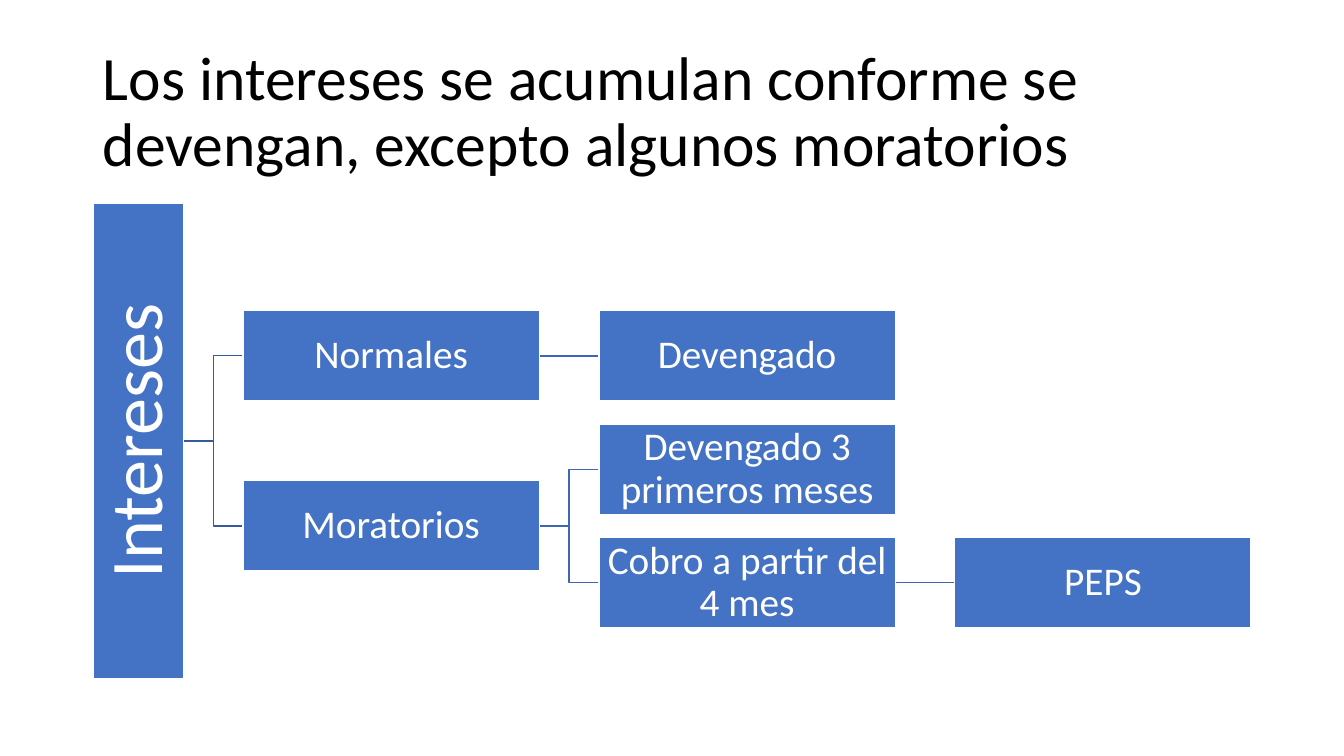
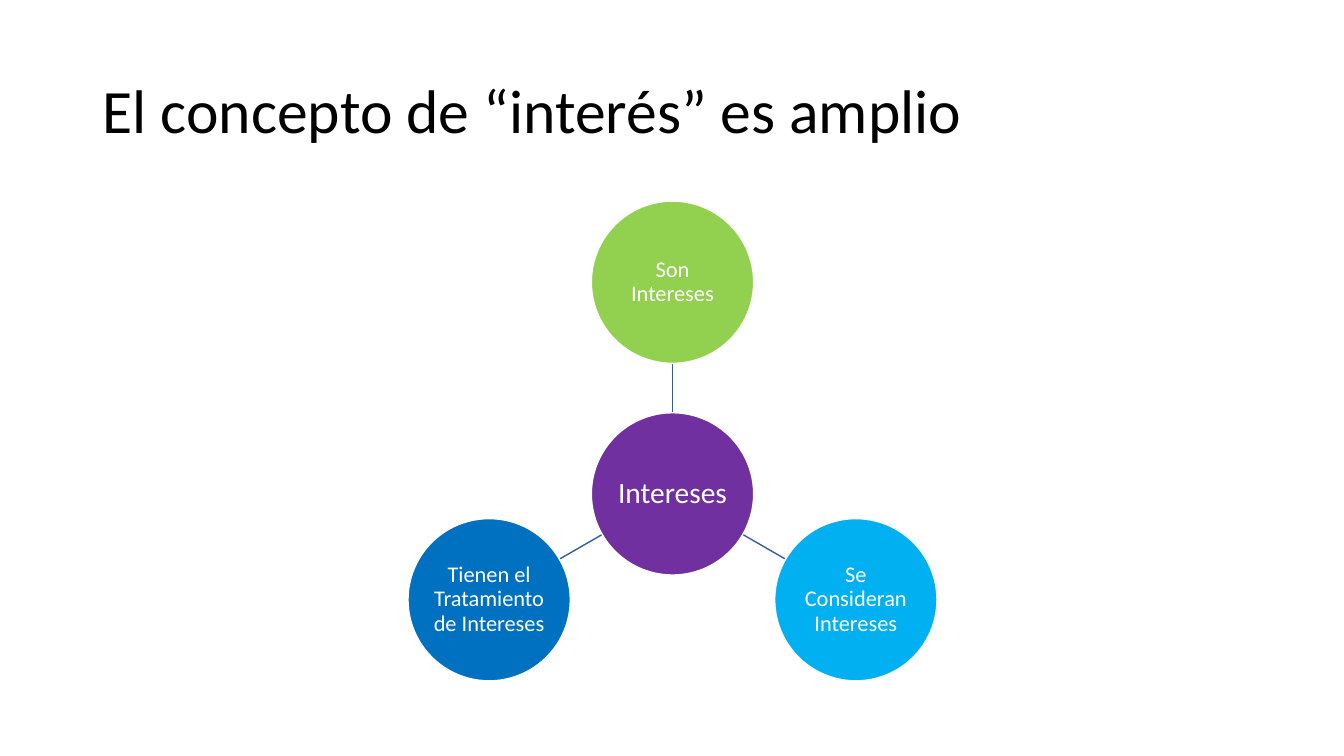
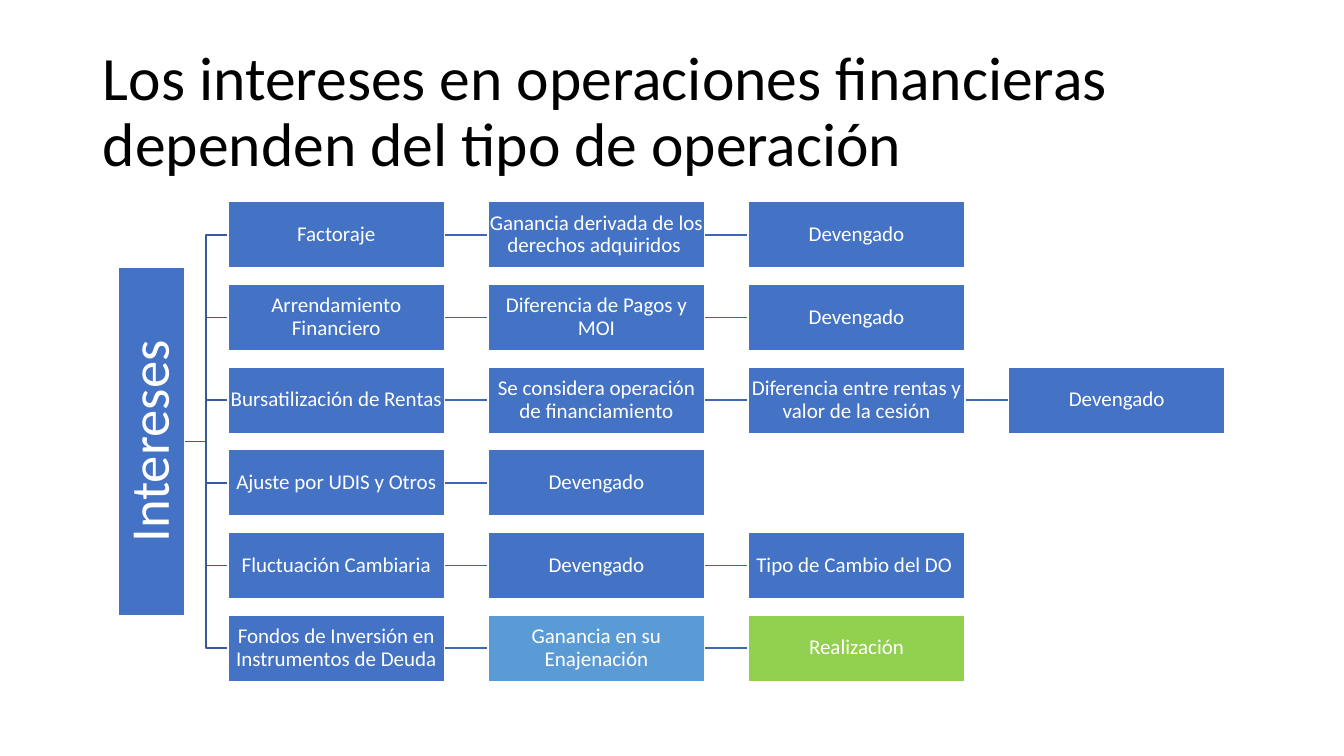
from math import cos, radians, sin

from pptx import Presentation
from pptx.dml.color import RGBColor
from pptx.enum.shapes import MSO_CONNECTOR as CXN, MSO_SHAPE as SHAPE
from pptx.enum.text import MSO_ANCHOR as ANCHOR, MSO_AUTO_SIZE as AUTO, PP_ALIGN as ALIGN
from pptx.oxml.ns import qn
from pptx.util import Inches, Pt
from lxml.etree import SubElement

# Shared style
FONT = "Calibri"
BLACK, WHITE, BLUE, LIGHT_BLUE, GREEN = "000000", "FFFFFF", "4472C4", "5B9BD5", "92D050"
PURPLE, SKY, DEEP_BLUE = "7030A0", "00B0F0", "0070C0"
ROOT_LINE, BRANCH_LINE = "365B9D", "3E67B2"
TITLE_BOX = (0.92, 0.4, 11.5, 1.45)


# Content: a tree node is (text, children[, colour])
def chain(*items):
    """Nest items so that each one is the only child of the one before."""
    node = None
    for item in reversed(items):
        text, color = item if isinstance(item, tuple) else (item, BLUE)
        node = (text, [node] if node else [], color)
    return node


ACCRUAL_TITLE = "Los intereses se acumulan conforme se devengan, excepto algunos moratorios"
ACCRUAL_TREE = ("Intereses", [
    chain("Normales", "Devengado"),
    ("Moratorios", [
        chain("Devengado 3 primeros meses"),
        chain("Cobro a partir del 4 mes", "PEPS"),
    ]),
])
ACCRUAL_LAYOUT = dict(root=(0.93, 0.89, 4.72), left=2.41, first=3.53, pitch=1.125,
                      width=2.94, height=0.9, gap=0.59, root_size=53, size=28, inset=0.02)

CONCEPT_TITLE = "El concepto de “interés” es amplio"
CONCEPT_HUB = ("Intereses", PURPLE)
CONCEPT_RING = [
    ("Son Intereses", GREEN),
    ("Se Consideran Intereses", SKY),
    ("Tienen el Tratamiento de Intereses", DEEP_BLUE),
]

OPERATIONS_TITLE = "Los intereses en operaciones financieras dependen del tipo de operación"
OPERATIONS_TREE = ("Intereses", [
    chain("Factoraje", "Ganancia derivada de los derechos adquiridos ", "Devengado"),
    chain("Arrendamiento Financiero", "Diferencia de Pagos y MOI", "Devengado"),
    chain("Bursatilización de Rentas", "Se considera operación de financiamiento",
          "Diferencia entre rentas y valor de la cesión", "Devengado"),
    chain("Ajuste por UDIS y Otros", "Devengado"),
    chain("Fluctuación Cambiaria", "Devengado", "Tipo de Cambio del DO "),
    chain("Fondos de Inversión en Instrumentos de Deuda",
          ("Ganancia en su Enajenación", LIGHT_BLUE), ("Realización", GREEN)),
])
OPERATIONS_LAYOUT = dict(root=(1.17, 0.66, 3.45), left=2.26, first=2.33, pitch=0.82,
                         width=2.15, height=0.66, gap=0.43, root_size=39, size=15, inset=0.01)


# Helpers
def rgb(color):
    return RGBColor.from_string(color)


def write(tf, text, size, color=WHITE, align=ALIGN.CENTER, inset=None):
    tf.word_wrap = True
    tf.auto_size = AUTO.NONE
    tf.vertical_anchor = ANCHOR.MIDDLE
    if inset is not None:
        tf.margin_left = tf.margin_right = tf.margin_top = tf.margin_bottom = Inches(inset)
    p = tf.paragraphs[0]
    p.alignment = align
    p.line_spacing = 0.9
    r = p.add_run()
    r.text = text
    r.font.name, r.font.size, r.font.color.rgb = FONT, Pt(size), rgb(color)


def add_box(s, kind, at, text, size, fill=BLUE, inset=0.01):
    sp = s.shapes.add_shape(kind, *map(Inches, at))
    sp.shadow.inherit = False
    sp.fill.solid()
    sp.fill.fore_color.rgb = rgb(fill)
    sp.line.color.rgb = rgb(WHITE)
    sp.line.width = Pt(1)
    write(sp.text_frame, text, size, inset=inset)
    return sp


def add_line(s, kind, ends, color):
    c = s.shapes.add_connector(kind, *map(Inches, ends))
    c.line.color.rgb = rgb(color)
    c.line.width = Pt(1)
    SubElement(c._element.spPr, qn("a:effectLst"))
    s.shapes._spTree.insert(2, c._element)  # behind the boxes
    return c


def new_slide(prs, title):
    s = prs.slides.add_slide(prs.slide_layouts[5])
    sp = s.shapes.title
    sp.left, sp.top, sp.width, sp.height = map(Inches, TITLE_BOX)
    write(sp.text_frame, title, 44, BLACK, ALIGN.LEFT)
    return s


# Horizontal tree: leaves take the rows, a parent is centred on its children
def add_tree(s, tree, root, left, first, pitch, width, height, gap, root_size, size, inset):
    root_left, root_width, root_height = root
    leaves = 0

    def add_node(node, level):
        nonlocal leaves
        text, children, *color = node
        placed = [add_node(child, level + 1) for child in children]
        if placed:
            mid = (placed[0][1] + placed[-1][1]) / 2
        else:
            mid = first + leaves * pitch
            leaves += 1

        if level:
            x = left + (level - 1) * (width + gap)
            at = (x, mid - height / 2, width, height)
            sp = add_box(s, SHAPE.RECTANGLE, at, text, size, *color, inset=inset)
        else:
            at = (root_left, mid - root_height / 2, root_width, root_height)
            sp = add_box(s, SHAPE.RECTANGLE, at, text, root_size, inset=2 * inset)
            sp.text_frame._txBody.bodyPr.set("vert", "vert270")

        for child, child_mid in placed:
            kind = CXN.STRAIGHT if abs(child_mid - mid) < 0.01 else CXN.ELBOW
            ends = (at[0] + at[2], mid, left + level * (width + gap), child_mid)
            c = add_line(s, kind, ends, BRANCH_LINE if level else ROOT_LINE)
            c.begin_connect(sp, 3)
            c.end_connect(child, 1)
        return sp, mid

    add_node(tree, 0)


# Hub with circles at equal angles, starting at the top
def add_radial(s, hub, ring, cx=6.67, cy=4.9, distance=2.1, diameter=1.61):
    radius = diameter / 2

    def add_circle(x, y, text, size, color):
        add_box(s, SHAPE.OVAL, (x - radius, y - radius, diameter, diameter), text, size, color)

    hub_text, hub_color = hub
    add_circle(cx, cy, hub_text, 21, hub_color)
    for i, (text, color) in enumerate(ring):
        angle = radians(-90 + i * 360 / len(ring))
        dx, dy = cos(angle), sin(angle)
        near, far = radius, distance - radius
        add_line(s, CXN.STRAIGHT,
                 (cx + near * dx, cy + near * dy, cx + far * dx, cy + far * dy), ROOT_LINE)
        add_circle(cx + distance * dx, cy + distance * dy, text, 16, color)


def main():
    prs = Presentation()
    prs.slide_width, prs.slide_height = Inches(13.33), Inches(7.5)
    add_tree(new_slide(prs, ACCRUAL_TITLE), ACCRUAL_TREE, **ACCRUAL_LAYOUT)
    add_radial(new_slide(prs, CONCEPT_TITLE), CONCEPT_HUB, CONCEPT_RING)
    add_tree(new_slide(prs, OPERATIONS_TITLE), OPERATIONS_TREE, **OPERATIONS_LAYOUT)
    prs.save("out.pptx")


if __name__ == "__main__":
    main()
